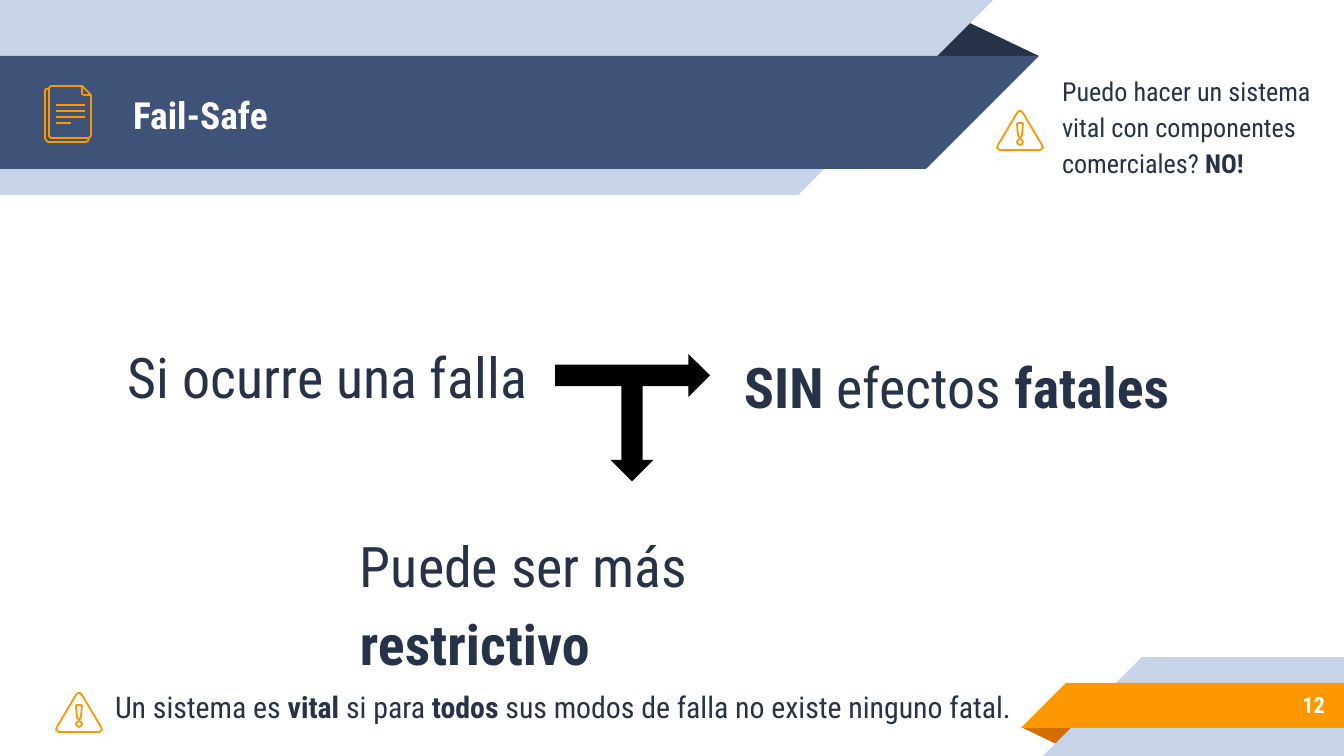
from lxml import etree
from pptx import Presentation, util as u
from pptx.dml.color import RGBColor
from pptx.enum import shapes, text
from pptx.oxml import ns

PX = 914400 / 134.4
NAVY, BLUE, PALE = "263248", "3F5378", "C7D3E6"
ORANGE, RUST, WHITE, BLACK = "FF9800", "D26F00", "FFFFFF", "000000"


def color(value):
    return RGBColor.from_string(value)


def write(words, box, area, size=30, ink=NAVY, bold=False, spacing=1.15, after=10,
          align=text.PP_ALIGN.LEFT, anchor=text.MSO_ANCHOR.TOP):
    box.left, box.top, box.width, box.height = [round(v * PX) for v in area]
    frame = box.text_frame
    frame.word_wrap = True
    frame.auto_size = text.MSO_AUTO_SIZE.NONE
    frame.vertical_anchor = anchor
    frame.margin_left = frame.margin_right = round(13 * PX)
    frame.margin_top = frame.margin_bottom = round(13 * PX)
    para = frame.paragraphs[0]
    props = para._p.get_or_add_pPr()
    props.set("marL", "0")
    props.set("indent", "0")
    etree.SubElement(props, ns.qn("a:buNone"))
    para.alignment = align
    para.line_spacing = spacing
    para.space_before = u.Pt(0)
    para.space_after = u.Pt(after)
    for index, part in enumerate(words.split("*")):
        if part:
            span = para.add_run()
            span.text = part
            span.font.name = "Roboto Condensed"
            span.font.size = u.Pt(size)
            span.font.bold = bold or index % 2 == 1
            span.font.color.rgb = color(ink)


deck = Presentation()
deck.slide_width, deck.slide_height = round(1344 * PX), round(756 * PX)
page = deck.slides.add_slide(deck.slide_layouts[3])
title, fact, question = page.placeholders

kind = shapes.MSO_SHAPE
solids = [
    (kind.ISOSCELES_TRIANGLE, (925, 19, 114, 37), 0, NAVY),
    (kind.RECTANGLE, (0, 0, 798, 195), 0, PALE),
    (kind.RIGHT_TRIANGLE, (798, 0, 195, 195), 90, PALE),
    (kind.RECTANGLE, (0, 56, 926, 113), 0, BLUE),
    (kind.RIGHT_TRIANGLE, (926, 56, 113, 113), 90, BLUE),
    (kind.ISOSCELES_TRIANGLE, (1021, 727, 58, 19), 180, RUST),
    (kind.RECTANGLE, (1142, 657, 202, 99), 0, PALE),
    (kind.RIGHT_TRIANGLE, (1043, 657, 99, 99), 270, PALE),
    (kind.RECTANGLE, (1066, 683, 278, 45), 0, ORANGE),
    (kind.RIGHT_TRIANGLE, (1021, 683, 45, 45), 270, ORANGE),
    (kind.RIGHT_ARROW, (555, 354, 155, 43), 0, BLACK),
    (kind.RIGHT_ARROW, (580, 408, 104, 43), 90, BLACK),
]
for preset, area, turn, fill in solids:
    solid = page.shapes.add_shape(preset, *[round(v * PX) for v in area])
    solid.shadow.inherit = False
    solid.rotation = turn
    solid.fill.solid()
    solid.fill.fore_color.rgb = color(fill)
    solid.line.fill.background()
    if preset == kind.ISOSCELES_TRIANGLE:
        solid.adjustments[0] = 0.32

for holder in (title, fact, question):
    page.shapes._spTree.append(holder._element)

back_sheet = [(89, 138), (88, 141), (86, 142), (48, 142), (46, 140), (45, 138),
              (45, 91), (46, 89), (49, 89)]
front_sheet = [(91, 95), (91, 136), (89, 138), (51, 138), (49, 136), (49, 88),
               (51, 86), (82, 86)]
fold = [(82, 86), (91, 95), (84, 95), (82, 94)]
sign = [(26, 2), (24, 0), (22, 0), (20, 2), (1, 34), (0, 37), (3, 39), (43, 39),
        (46, 37), (45, 34)]
dot = [(23, 34), (21, 33), (20, 31), (21, 29), (23, 28), (25, 29), (26, 31), (25, 33)]
bar = [(26, 13), (25, 24), (24, 26), (22, 26), (21, 24), (20, 13), (21, 12), (25, 12)]
outlines = [
    ([back_sheet], (0, 0), False),
    ([front_sheet], (0, 0), False),
    ([fold], (0, 0), True),
    ([sign, dot, bar], (56, 693), True),
    ([sign, dot, bar], (997, 111), True),
]
for contours, (left, top), closed in outlines:
    builder = page.shapes.build_freeform(*contours[0][0], scale=PX)
    for contour in contours:
        if contour is not contours[0]:
            builder.move_to(*contour[0])
        builder.add_line_segments(contour[1:], close=closed)
    icon = builder.convert_to_shape(round(left * PX), round(top * PX))
    icon.shadow.inherit = False
    icon.fill.background()
    icon.line.color.rgb = color(ORANGE)
    icon.line.width = u.Pt(0.96)

for row, right in enumerate([85, 85, 85, 71]):
    y = round((105 + 6 * row) * PX)
    rule = page.shapes.add_connector(shapes.MSO_CONNECTOR.STRAIGHT,
                                     round(56 * PX), y, round(right * PX), y)
    rule.line.color.rgb = color(ORANGE)
    rule.line.width = u.Pt(0.96)
    etree.SubElement(rule._element.spPr, ns.qn("a:effectLst"))

write("Fail-Safe", title, (120, 58, 773, 113), size=20, ink=WHITE, bold=True,
      spacing=1, after=0, anchor=text.MSO_ANCHOR.MIDDLE)
write("Un sistema es *vital* si para *todos* sus modos de falla no existe ninguno fatal.",
      fact, (102, 670, 948, 69), size=16)
write("Puedo hacer un sistema vital con componentes comerciales? *NO!*",
      question, (1049, 58, 290, 144), size=14)

statements = [
    ("Si ocurre una falla", (115, 319, 441, 93)),
    ("*SIN* efectos *fatales*", (731, 329, 458, 103)),
    ("Puede ser más *restrictivo*", (347, 509, 590, 93)),
]
for words, area in statements:
    write(words, page.shapes.add_textbox(0, 0, 0, 0), area)
write("12", page.shapes.add_textbox(0, 0, 0, 0), (1119, 681, 219, 47), size=12,
      ink=WHITE, bold=True, spacing=1, after=0, align=text.PP_ALIGN.RIGHT,
      anchor=text.MSO_ANCHOR.MIDDLE)

deck.save("out.pptx")
